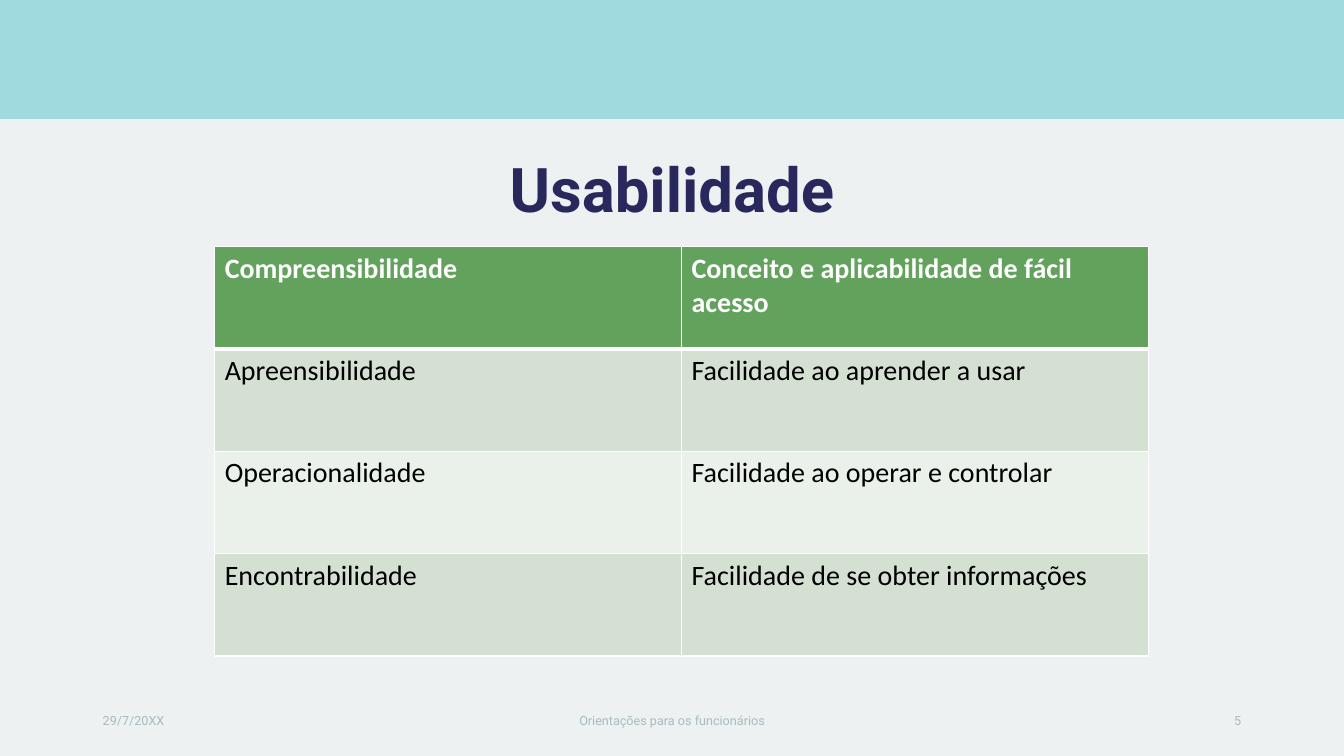
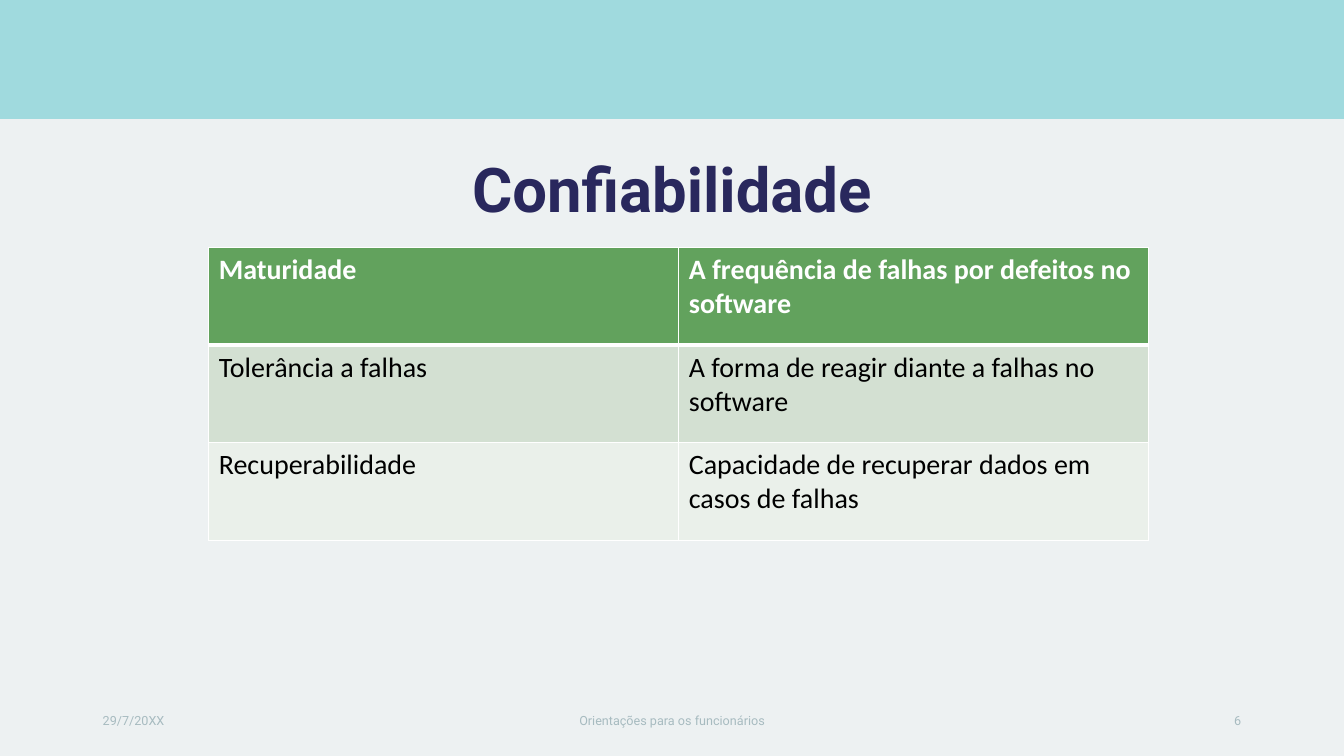
"""Builds two slides that each show a software quality table."""
from lxml.etree import SubElement
from pptx import Presentation
from pptx.dml.color import RGBColor
from pptx.enum.shapes import MSO_SHAPE
from pptx.enum.text import MSO_ANCHOR, PP_ALIGN
from pptx.oxml.ns import qn
from pptx.util import Cm, Pt

COLORS = {
    "background": "EDF1F2",
    "band": "A0DADE",
    "title": "29285D",
    "footer": "A7BBC0",
    "header": "62A25D",
    "odd": "D3E0D2",
    "even": "EAF0EA",
    "white": "FFFFFF",
    "black": "000000",
}
FONTS = {
    "title": {"name": "Roboto", "size": Pt(44), "bold": True},
    "footer": {"name": "Roboto", "size": Pt(9), "bold": False},
    "header": {"name": "Calibri", "size": Pt(20), "bold": True},
    "body": {"name": "Calibri", "size": Pt(20), "bold": False},
}
PAGE_WIDTH, PAGE_HEIGHT = 33.87, 19.05
FOOTER_TEXT = "Orientações para os funcionários"
FOOTER_DATE = "29/7/20XX"


def apply(target, values):
    for name, value in values.items():
        setattr(target, name, value)


def paint(fill, color):
    fill.solid()
    fill.fore_color.rgb = RGBColor.from_string(COLORS[color])


class SlideBuilder:
    def __init__(self):
        self.deck = Presentation()
        apply(self.deck, {"slide_width": Cm(PAGE_WIDTH), "slide_height": Cm(PAGE_HEIGHT)})
        self.page = None

    def start(self, title, number):
        self.page = self.deck.slides.add_slide(self.deck.slide_layouts[6])
        paint(self.page.background.fill, "background")
        self.band()
        self.title(title)
        self.footer(2.34, 7.62, FOOTER_DATE, PP_ALIGN.LEFT)
        self.footer(11.22, 11.43, FOOTER_TEXT, PP_ALIGN.CENTER)
        self.footer(23.91, 7.62, str(number), PP_ALIGN.RIGHT)

    def band(self):
        band = self.page.shapes.add_shape(MSO_SHAPE.RECTANGLE, 0, 0, Cm(PAGE_WIDTH), Cm(3))
        band.shadow.inherit = False
        paint(band.fill, "band")
        band.line.fill.background()

    def add_span(self, para, text, font, color):
        span = para.add_run()
        span.text = text
        apply(span.font, FONTS[font])
        span.font.color.rgb = RGBColor.from_string(COLORS[color])

    def text(self, place, text, style, frame_format, para_format):
        box = self.page.shapes.add_textbox(*map(Cm, place))
        apply(box.text_frame, {"word_wrap": True, **frame_format})
        para = box.text_frame.paragraphs[0]
        apply(para, para_format)
        self.add_span(para, text, style, style)

    def title(self, text):
        self.text((9.04, 2.18, 15.8, 3.63), text, "title",
                  {"vertical_anchor": MSO_ANCHOR.BOTTOM},
                  {"alignment": PP_ALIGN.CENTER, "line_spacing": 0.9})

    def footer(self, left, width, text, alignment):
        self.text((left, 17.65, width, 1.02), text, "footer",
                  {"vertical_anchor": MSO_ANCHOR.MIDDLE}, {"alignment": alignment})

    def borders(self, cell, widths):
        properties = cell._tc.get_or_add_tcPr()
        for side, width in widths.items():
            line = SubElement(properties, qn(f"a:ln{side}"), w=str(Pt(width)))
            fill = SubElement(line, qn("a:solidFill"))
            SubElement(fill, qn("a:srgbClr"), val=COLORS["white"])

    def table(self, left, top, width, row_height, rows):
        frame = self.page.shapes.add_table(
            len(rows), len(rows[0]), Cm(left), Cm(top), Cm(width), Cm(row_height * len(rows)))
        table = frame.table
        apply(table, {"first_row": False, "horz_banding": False})
        for row_index, row in enumerate(rows):
            is_header = row_index == 0
            fill = "header" if is_header else "odd" if row_index % 2 else "even"
            font, color = ("header", "white") if is_header else ("body", "black")
            widths = {"L": 1, "R": 1, "T": 3 if row_index == 1 else 1, "B": 3 if is_header else 1}
            for column_index, text in enumerate(row):
                cell = table.cell(row_index, column_index)
                self.borders(cell, widths)
                paint(cell.fill, fill)
                self.add_span(cell.text_frame.paragraphs[0], text, font, color)


builder = SlideBuilder()

builder.start("Usabilidade", 5)
builder.table(5.41, 6.21, 23.53, 2.58, [
    ("Compreensibilidade", "Conceito e aplicabilidade de fácil acesso"),
    ("Apreensibilidade", "Facilidade ao aprender a usar"),
    ("Operacionalidade", "Facilidade ao operar e controlar"),
    ("Encontrabilidade", "Facilidade de se obter informações"),
])

builder.start("Confiabilidade", 6)
builder.table(5.26, 6.24, 23.69, 2.46, [
    ("Maturidade", "A frequência de falhas por defeitos no software"),
    ("Tolerância a falhas", "A forma de reagir diante a falhas no software"),
    ("Recuperabilidade", "Capacidade de recuperar dados em casos de falhas"),
])

builder.deck.save("out.pptx")
